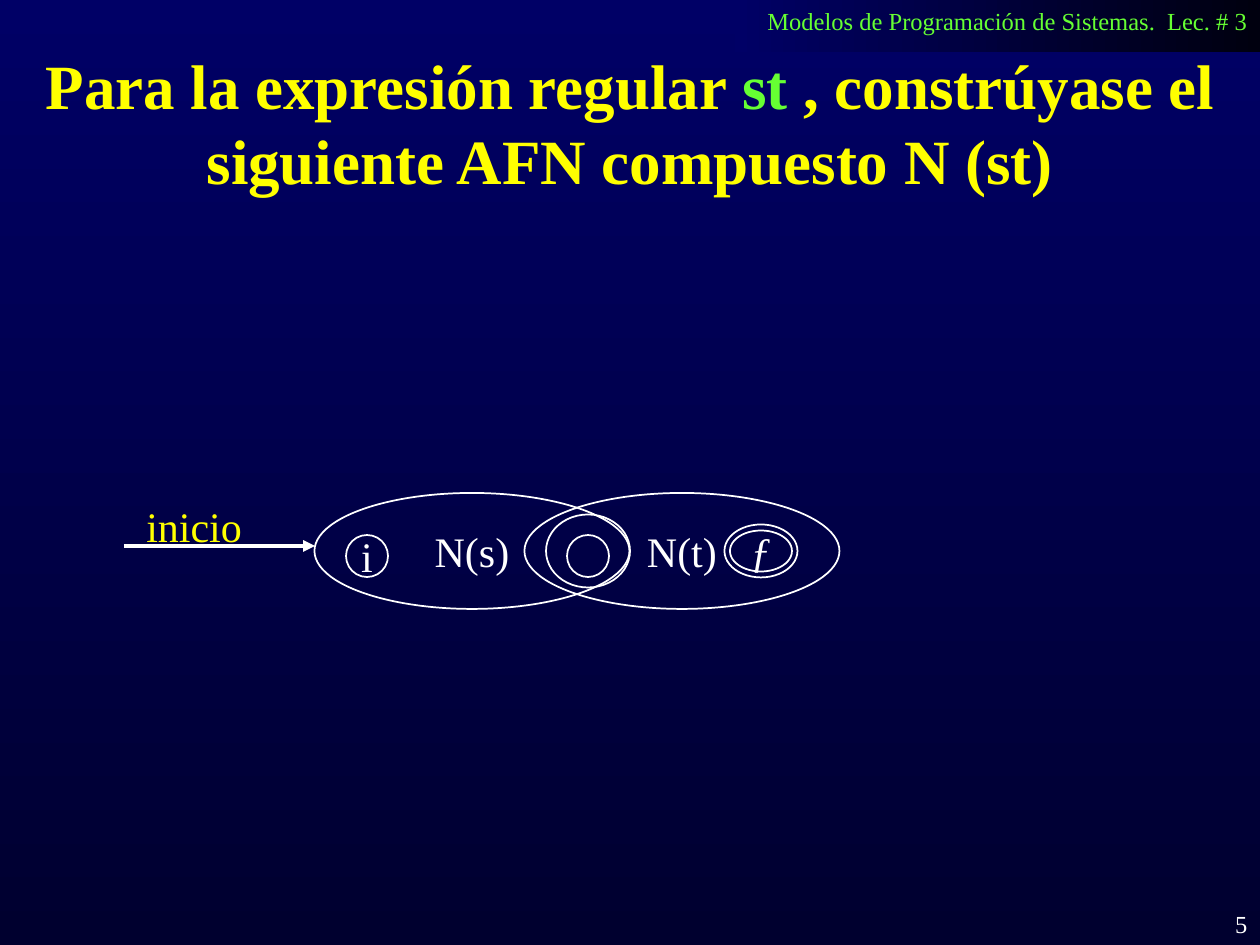
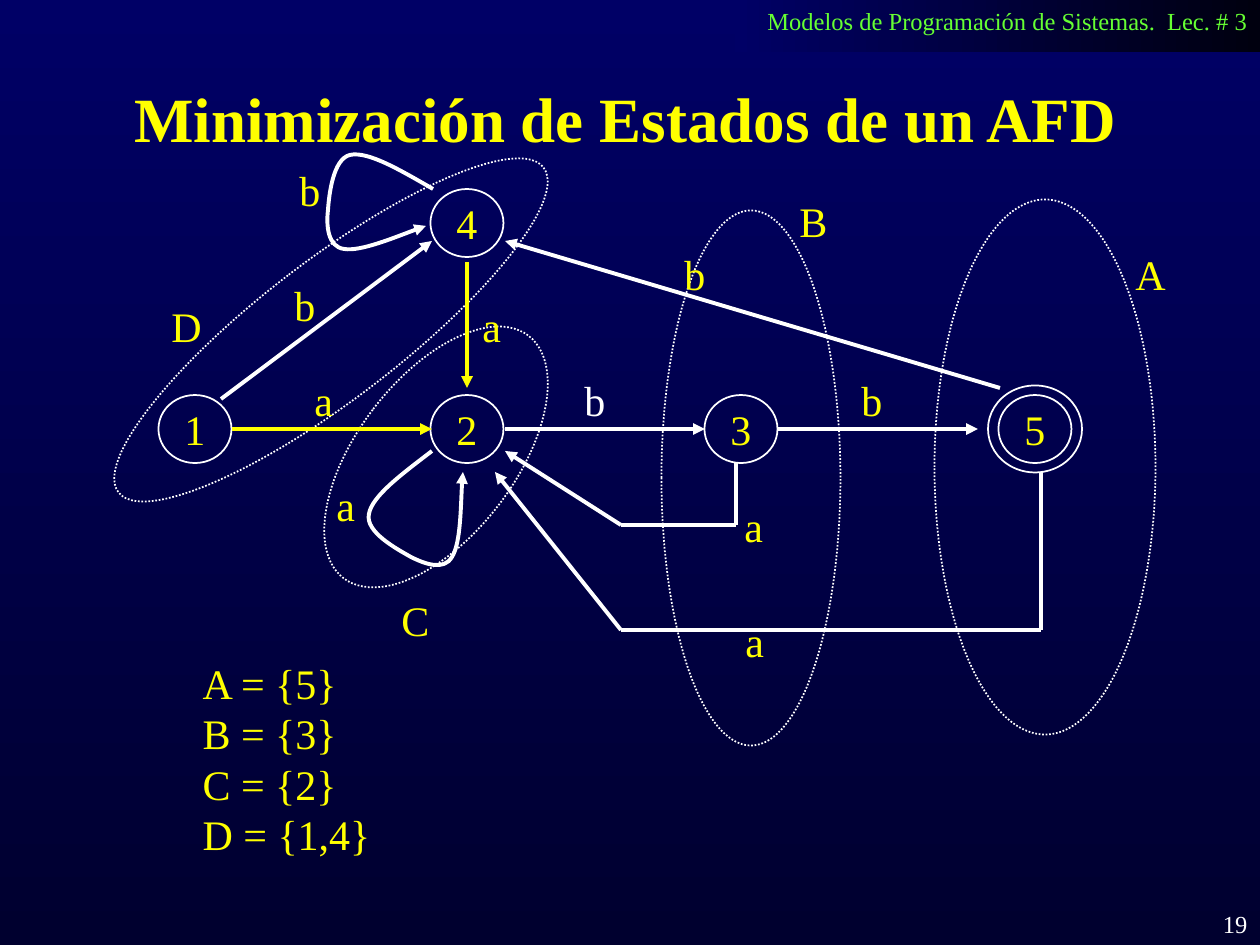
import itertools

import pptx
import pptx.dml.color
import pptx.enum.dml
import pptx.enum.shapes
import pptx.enum.text
import pptx.oxml
import pptx.oxml.ns
import pptx.oxml.xmlchemy
import pptx.util

PX = 914400 / 126
FONT = "Times New Roman"
WHITE, YELLOW, GREEN = "FFFFFF", "FFFF00", "66FF33"
SKY_TOP, SKY_BOTTOM, BAND_DARK = "000066", "00002F", "00000F"
THIN, THICK = 1, 2.25
STATE_SIZE = (73, 68)
ALIGN = pptx.enum.text.PP_ALIGN
ANCHOR = pptx.enum.text.MSO_ANCHOR
qn = pptx.oxml.ns.qn


def emu(*lengths):
    return [round(length * PX) for length in lengths]


def rgb(hex_colour):
    return pptx.dml.color.RGBColor.from_string(hex_colour)


def child(parent, tag, **attributes):
    element = pptx.oxml.xmlchemy.OxmlElement(tag)
    for name, value in attributes.items():
        element.set(name, value)
    parent.append(element)
    return element


def shade(fill, colours, angle):
    fill.gradient()
    fill.gradient_angle = angle
    for stop, colour in zip(fill.gradient_stops, colours):
        stop.color.rgb = rgb(colour)


class Lecture:
    """Holds the presentation, its style and the current slide."""

    def __init__(self):
        self.deck = pptx.Presentation()
        self.deck.slide_width, self.deck.slide_height = emu(1260, 945)
        shade(self.deck.slide_master.background.fill, (SKY_TOP, SKY_BOTTOM), 270)

    def new_slide(self, layout, number):
        self.slide = self.deck.slides.add_slide(self.deck.slide_layouts.get_by_name(layout))
        self.shapes = self.slide.shapes
        band = self.shapes.add_shape(
            pptx.enum.shapes.MSO_SHAPE.RECTANGLE, *emu(735, 0, 525, 52))
        band.shadow.inherit = False
        band.line.fill.background()
        shade(band.fill, (BAND_DARK, SKY_TOP), 180)
        self.label("Modelos de Programación de Sistemas.  Lec. # 3",
                   755, 0, GREEN, width=505, size=14)
        self.label(number, 998, 903, WHITE, width=262, size=14, align=ALIGN.RIGHT)

    def style(self, frame, colour, size=24, align=ALIGN.LEFT, anchor=ANCHOR.TOP, wrap=False):
        frame.word_wrap = wrap
        frame.auto_size = pptx.enum.text.MSO_AUTO_SIZE.NONE
        frame.vertical_anchor = anchor
        for paragraph in frame.paragraphs:
            paragraph.alignment = align
            paragraph.space_before = pptx.util.Pt(0)
            for run in paragraph.runs:
                run.font.name = FONT
                run.font.size = pptx.util.Pt(size)
                run.font.color.rgb = rgb(colour)

    def place(self, placeholder, box):
        (placeholder.left, placeholder.top,
         placeholder.width, placeholder.height) = emu(*box)

    def title(self, parts, box, accent=None):
        """Writes the title from its parts; the part equal to accent is green."""
        heading = self.shapes.title
        self.place(heading, box)
        paragraph = heading.text_frame.paragraphs[0]
        for part in parts:
            paragraph.add_run().text = part
        self.style(heading.text_frame, YELLOW, 36, ALIGN.CENTER, wrap=True)
        for run in paragraph.runs:
            run.font.bold = True
            if run.text == accent:
                run.font.color.rgb = rgb(GREEN)

    def plain_list(self, items, box):
        body = self.slide.placeholders[1]
        self.place(body, box)
        body.text_frame.text = "\n".join(items)
        self.style(body.text_frame, YELLOW)
        for paragraph in body.text_frame.paragraphs:
            properties = paragraph._p.get_or_add_pPr()
            properties.set("marL", "0")
            properties.set("indent", "0")
            child(properties, "a:buNone")

    def label(self, text, left, top, colour=YELLOW, width=50, size=24, align=ALIGN.LEFT):
        box = self.shapes.add_textbox(*emu(left, top, width, 63 if size == 24 else 42))
        box.text_frame.text = text
        self.style(box.text_frame, colour, size, align, wrap=align == ALIGN.RIGHT)

    def outline(self, shape, colour, weight):
        shape.line.color.rgb = rgb(colour)
        shape.line.width = pptx.util.Pt(weight)

    def arrowhead(self, shape):
        child(shape.element.spPr.find(qn("a:ln")), "a:tailEnd", type="triangle")

    def ellipse(self, center, size, text="", colour=WHITE, italic=False,
                rotation=0, dotted=False):
        (x, y), (width, height) = center, size
        oval = self.shapes.add_shape(
            pptx.enum.shapes.MSO_SHAPE.OVAL,
            *emu(x - width / 2, y - height / 2, width, height))
        oval.shadow.inherit = False
        oval.fill.background()
        oval.rotation = rotation
        self.outline(oval, WHITE, THIN)
        if dotted:
            oval.line.dash_style = pptx.enum.dml.MSO_LINE.ROUND_DOT
        if text:
            oval.text_frame.text = text
            self.style(oval.text_frame, colour, align=ALIGN.CENTER, anchor=ANCHOR.MIDDLE)
            oval.text_frame.paragraphs[0].runs[0].font.italic = italic

    def route(self, *stops, colour=WHITE):
        """Joins the stops by straight lines and ends in an arrowhead."""
        for start, end in itertools.pairwise(stops):
            line = self.shapes.add_connector(
                pptx.enum.shapes.MSO_CONNECTOR.STRAIGHT, *emu(*start, *end))
            self.outline(line, colour, THICK)
            child(line.element.spPr, "a:effectLst")
        self.arrowhead(line)

    def loop(self, start, *controls):
        """Draws a Bézier arrow; every three controls make one curve."""
        builder = self.shapes.build_freeform(*emu(*start))
        builder.add_line_segments([emu(*point) for point in controls], close=False)
        curve = builder.convert_to_shape()
        segments = list(curve.element.iter(qn("a:lnTo")))
        outline = segments[0].getparent()
        for first in range(0, len(segments), 3):
            bezier = child(outline, "a:cubicBezTo")
            for segment in segments[first:first + 3]:
                bezier.append(segment[0])
                outline.remove(segment)
        curve.shadow.inherit = False
        curve.fill.background()
        self.outline(curve, WHITE, THICK)
        self.arrowhead(curve)


def concatenation_slide(lecture):
    lecture.new_slide("Title Only", "5")
    lecture.title(("Para la expresión regular ", "st",
                   " , constrúyase el siguiente AFN compuesto N (st)"),
                  (0, 40, 1260, 239), accent="st")
    lecture.route((124, 546), (315, 546))
    lecture.label("inicio", 134, 494, width=137)
    middle = 551
    for x, machine in ((682, "N(t)"), (472, "N(s)")):
        lecture.ellipse((x, middle), (315, 116), machine, WHITE)
    lecture.ellipse((761, middle), (73, 53))
    lecture.ellipse((761, middle), (62, 41), "ƒ", WHITE, italic=True)
    lecture.ellipse((367, 556), (42, 42), "i", WHITE)
    lecture.ellipse((588, middle), (84, 73))
    lecture.ellipse((588, 556), (42, 42))


def minimization_slide(lecture):
    lecture.new_slide("Title and Content", "19")
    lecture.title(("Minimización de Estados de un AFD",), (44, 73, 1163, 88))
    lecture.plain_list(("A = {5}", "B = {3}", "C = {2}", "D = {1,4}"),
                       (190, 651, 194, 214))

    states = {"1": (195, 429), "2": (467, 429), "3": (741, 429),
              "4": (467, 223), "5": (1035, 429)}
    for state, center in states.items():
        lecture.ellipse(center, STATE_SIZE, state, YELLOW)
    lecture.ellipse(states["5"], (94, 87))

    groups = (((331, 330), (139, 535), 52.6), ((1045, 467), (221, 535), 0),
              ((751, 478), (179, 535), 0), ((436, 457), (158, 305), 37.3))
    for center, size, rotation in groups:
        lecture.ellipse(center, size, rotation=rotation, dotted=True)

    lecture.route((232, 429), (432, 429), colour=YELLOW)
    lecture.route((467, 262), (467, 388), colour=YELLOW)
    lecture.route((505, 429), (705, 429))
    lecture.route((778, 429), (978, 429))
    lecture.route((221, 399), (432, 241))
    lecture.route((1000, 388), (505, 241))
    lecture.route((1041, 472), (1041, 630), (621, 630), (495, 472))
    lecture.route((736, 462), (736, 525), (621, 525), (505, 451))
    lecture.loop((432, 451), (402, 474), (372, 496), (369, 514),
                 (365, 532), (397, 549), (411, 557),
                 (425, 564), (444, 571), (452, 557),
                 (461, 543), (461, 489), (463, 472))
    lecture.loop((433, 189), (400, 170), (368, 151), (350, 155),
                 (333, 159), (329, 195), (328, 210),
                 (326, 226), (328, 247), (344, 249),
                 (360, 252), (411, 231), (426, 226))

    lecture.label("b", 572, 368, WHITE)
    for name, left, top in (
            ("b", 849, 368), ("a", 302, 368), ("b", 282, 273), ("b", 672, 242),
            ("a", 733, 609), ("a", 732, 494), ("a", 324, 473), ("a", 470, 294),
            ("b", 287, 158), ("A", 1123, 242), ("B", 787, 189),
            ("C", 389, 588), ("D", 159, 294)):
        lecture.label(name, left, top)


def main():
    lecture = Lecture()
    concatenation_slide(lecture)
    minimization_slide(lecture)
    lecture.deck.save("out.pptx")


if __name__ == "__main__":
    main()
